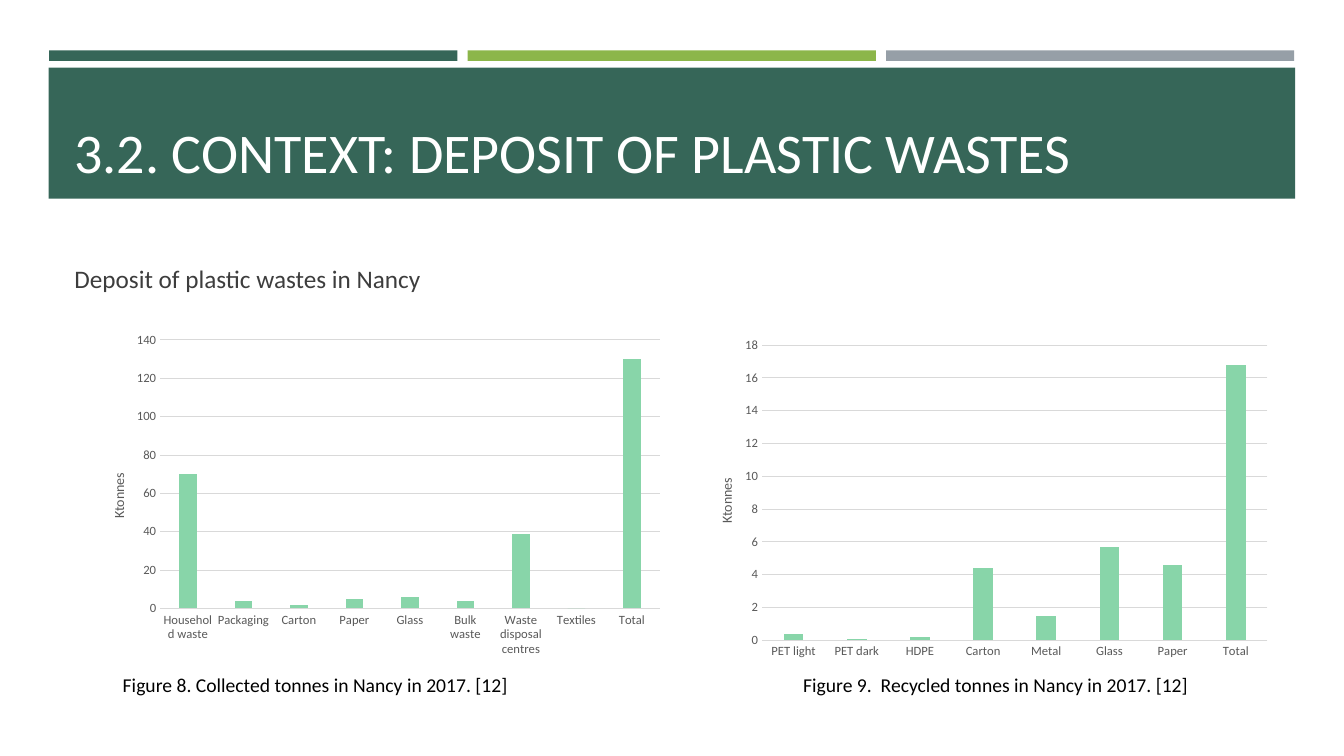
from dataclasses import dataclass

from pptx import Presentation, util as u
from pptx.chart import data as cd
from pptx.dml.color import RGBColor
from pptx.enum import chart as ch, shapes, text
from pptx.oxml import parse_xml
from pptx.oxml.ns import nsdecls, qn

Pt = u.Pt
FONT = "Calibri"
PINE = RGBColor(0x36, 0x66, 0x58)
LIME = RGBColor(0x8C, 0xB6, 0x4A)
STEEL = RGBColor(0x96, 0x9F, 0xA7)
MINT = RGBColor(0x88, 0xD5, 0xA9)
WHITE = RGBColor(0xFF, 0xFF, 0xFF)
BLACK = RGBColor(0, 0, 0)
DARK = RGBColor(0x3D, 0x3D, 0x3D)
GREY = RGBColor(0x59, 0x59, 0x59)
PALE = RGBColor(0xD9, 0xD9, 0xD9)


@dataclass
class Box:
    left: float
    top: float
    width: float
    height: float

    def place(self) -> list:
        return [Pt(v) for v in (self.left, self.top, self.width, self.height)]


@dataclass
class Bar:
    box: Box
    fill: RGBColor


@dataclass
class Label:
    words: str
    box: Box
    size: float
    color: RGBColor
    anchor: text.MSO_ANCHOR = text.MSO_ANCHOR.TOP


@dataclass
class Graph:
    box: Box
    plot: Box
    data: dict[str, float]
    top: float
    step: float


BARS = [
    Bar(Box(35.1 + 298.9 * i, 36, 291.6, 7.5), fill)
    for i, fill in enumerate((PINE, LIME, STEEL))
] + [Bar(Box(34.8, 48.3, 890.4, 93.6), PINE)]

LABELS = [
    Label("3.2. CONTEXT: DEPOSIT OF PLASTIC WASTES",
          Box(46.1, 55.4, 868.3, 79.9), 40, WHITE, text.MSO_ANCHOR.BOTTOM),
    Label("Deposit of plastic wastes in Nancy",
          Box(46.1, 184, 868.3, 30), 18, DARK, text.MSO_ANCHOR.MIDDLE),
    Label("Figure 8. Collected tonnes in Nancy in 2017. [12]",
          Box(80.6, 477.4, 392.4, 24.5), 14, BLACK),
    Label("Figure 9.  Recycled tonnes in Nancy in 2017. [12]",
          Box(566.6, 477.4, 303.8, 24.5), 14, BLACK),
]

GRAPHS = [
    Graph(Box(59.8, 233.3, 419.8, 239.8), Box(0.13, 0.04, 0.85, 0.8),
          {"Household waste": 70, "Packaging": 4, "Carton": 2, "Paper": 5,
           "Glass": 6, "Bulk waste": 4, "Waste disposal centres": 39,
           "Textiles": 0, "Total": 130}, 140, 20),
    Graph(Box(493.9, 236.9, 419.8, 239.8), Box(0.12, 0.04, 0.86, 0.88),
          {"PET light": 0.4, "PET dark": 0.1, "HDPE": 0.2, "Carton": 4.4,
           "Metal": 1.5, "Glass": 5.7, "Paper": 4.6, "Total": 16.8}, 18, 2),
]


def style(font, size: float, color: RGBColor) -> None:
    font.name = FONT
    font.size = Pt(size)
    font.bold = False
    font.color.rgb = color


def layout(inner: str):
    return parse_xml(
        f'<c:layout {nsdecls("c")}><c:manualLayout>{inner}'
        "</c:manualLayout></c:layout>")


def clear(node) -> None:
    for old in node.findall(qn("c:layout")):
        node.remove(old)


def add_bar(slide, bar: Bar) -> None:
    shape = slide.shapes.add_shape(
        shapes.MSO_SHAPE.RECTANGLE, *bar.box.place())
    shape.shadow.inherit = False
    shape.fill.solid()
    shape.fill.fore_color.rgb = bar.fill
    shape.line.fill.background()


def add_label(slide, label: Label) -> None:
    frame = slide.shapes.add_textbox(*label.box.place()).text_frame
    frame.word_wrap = True
    frame.vertical_anchor = label.anchor
    frame.text = label.words
    style(frame.paragraphs[0].runs[0].font, label.size, label.color)


def add_graph(slide, graph: Graph) -> None:
    data = cd.CategoryChartData()
    data.categories = list(graph.data)
    data.add_series("Series 1", list(graph.data.values()))
    chart = slide.shapes.add_chart(
        ch.XL_CHART_TYPE.COLUMN_CLUSTERED, *graph.box.place(), data).chart
    chart.has_legend = False
    chart.has_title = False
    style(chart.font, 10, BLACK)

    plot = chart.plots[0]
    plot.vary_by_categories = False
    plot.gap_width = 219
    plot.overlap = -27
    fill = plot.series[0].format.fill
    fill.solid()
    fill.fore_color.rgb = MINT

    cats, vals = chart.category_axis, chart.value_axis
    for axis in (cats, vals):
        axis.major_tick_mark = ch.XL_TICK_MARK.NONE
        axis.minor_tick_mark = ch.XL_TICK_MARK.NONE
        style(axis.tick_labels.font, 9, GREY)
    vals.minimum_scale = 0
    vals.maximum_scale = graph.top
    vals.major_unit = graph.step
    vals.has_major_gridlines = True
    vals.format.line.fill.background()
    for line in (cats.format.line, vals.major_gridlines.format.line):
        line.color.rgb = PALE
        line.width = Pt(0.75)

    title = vals.axis_title
    title.text_frame.text = "Ktonnes"
    style(title.text_frame.paragraphs[0].runs[0].font, 10, GREY)
    node = title._element
    clear(node)
    node.find(qn("c:tx")).addnext(layout(
        '<c:xMode val="edge"/><c:yMode val="edge"/>'
        '<c:x val="0.04"/><c:y val="0.43"/>'))

    area = chart._chartSpace.chart.plotArea
    clear(area)
    spot = graph.plot
    area.insert(0, layout(
        '<c:layoutTarget val="inner"/>'
        '<c:xMode val="edge"/><c:yMode val="edge"/>'
        f'<c:x val="{spot.left}"/><c:y val="{spot.top}"/>'
        f'<c:w val="{spot.width}"/><c:h val="{spot.height}"/>'))


def main() -> None:
    deck = Presentation()
    deck.slide_width = Pt(960)
    deck.slide_height = Pt(540)
    slide = deck.slides.add_slide(deck.slide_layouts[6])
    for bar in BARS:
        add_bar(slide, bar)
    for label in LABELS:
        add_label(slide, label)
    for graph in GRAPHS:
        add_graph(slide, graph)
    deck.save("out.pptx")


if __name__ == "__main__":
    main()
